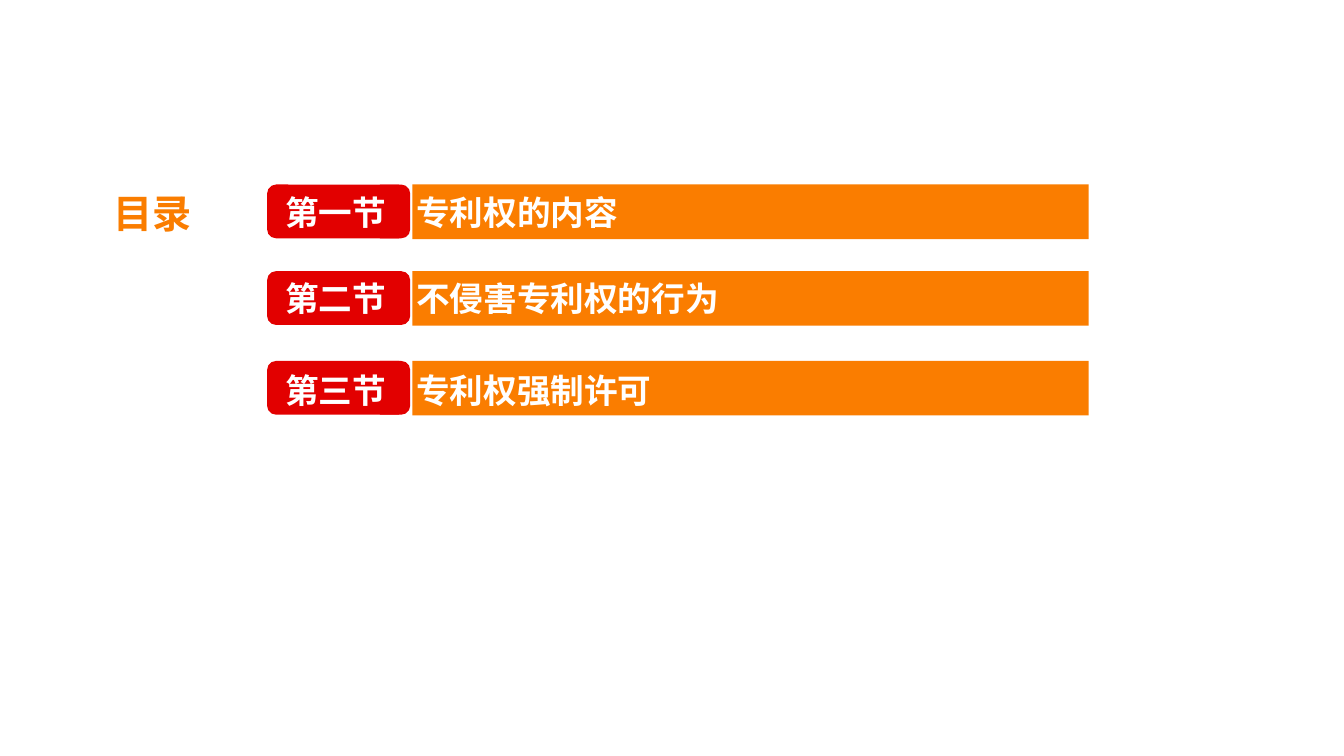
from pptx import Presentation
from pptx.dml.color import RGBColor
from pptx.enum.shapes import MSO_SHAPE as Kind
from pptx.enum.text import MSO_AUTO_SIZE as Fit
from pptx.oxml import parse_xml
from pptx.oxml.ns import nsdecls
from pptx.util import Pt

FONT = "Noto Sans CJK SC"
ORANGE, RED, WHITE = "FA7D00", "E20000", "FFFFFF"
ROWS = [
    ("第一节", "专利权的内容", 131.8, 1.4),
    ("第二节", "不侵害专利权的行为", 193.7, 1.4),
    ("第三节", "专利权强制许可", 257.8, 2.9),
]


def paint(hue):
    """Turn a hex string into a colour."""
    return RGBColor.from_string(hue)


def block(slide, kind, left, top, width, height, hue):
    """Draw a plain filled shape."""
    shape = slide.shapes.add_shape(kind, Pt(left), Pt(top), Pt(width), Pt(height))
    shape.shadow.inherit = False
    shape.fill.solid()
    shape.fill.fore_color.rgb = paint(hue)
    shape.line.fill.background()


def label(slide, text, left, top, width, height, size, hue, stop=None):
    """Write one bold line, with an optional tab stop."""
    box = slide.shapes.add_textbox(Pt(left), Pt(top), Pt(width), Pt(height))
    frame = box.text_frame
    frame.word_wrap = stop is not None
    frame.auto_size = Fit.SHAPE_TO_FIT_TEXT
    para = frame.paragraphs[0]
    para.text = text
    if stop:
        tabs = f'<a:tabLst {nsdecls("a")}><a:tab pos="{Pt(stop)}" algn="l"/></a:tabLst>'
        para._p.get_or_add_pPr().append(parse_xml(tabs))
    font = para.font
    font.name, font.size, font.bold = FONT, Pt(size), True
    font.color.rgb = paint(hue)
    for run in para.runs:
        east = f'<a:ea {nsdecls("a")} typeface="{FONT}"/>'
        run._r.get_or_add_rPr().append(parse_xml(east))


def section(slide, number, topic, left, top, width, drop):
    """Draw one row: red number tag, orange bar and their text."""
    block(slide, Kind.ROUNDED_RECTANGLE, left, top, 102.2, 38.4, RED)
    block(slide, Kind.RECTANGLE, left + 80.6, top, 13.7, 38.4, RED)
    block(slide, Kind.RECTANGLE, left + 103.7, top, width - 103.7, 39, ORANGE)
    label(slide, f"{number}\t{topic}", left + 5.8, top + drop, 512.6, 36, 24, WHITE, 93.6)


def contents(slide, left, top, width):
    """Draw the contents heading and its section rows."""
    label(slide, "目录", left, top, 71.3, 41, 28, ORANGE)
    for number, topic, level, drop in ROWS:
        section(slide, number, topic, left + 116.6, level, width - 116.6, drop)


def main():
    """Build and save the slide."""
    deck = Presentation()
    deck.slide_width, deck.slide_height = Pt(960), Pt(540)
    slide = deck.slides.add_slide(deck.slide_layouts[6])
    contents(slide, 74.2, 131.8, 703.4)
    deck.save("out.pptx")


if __name__ == "__main__":
    main()
